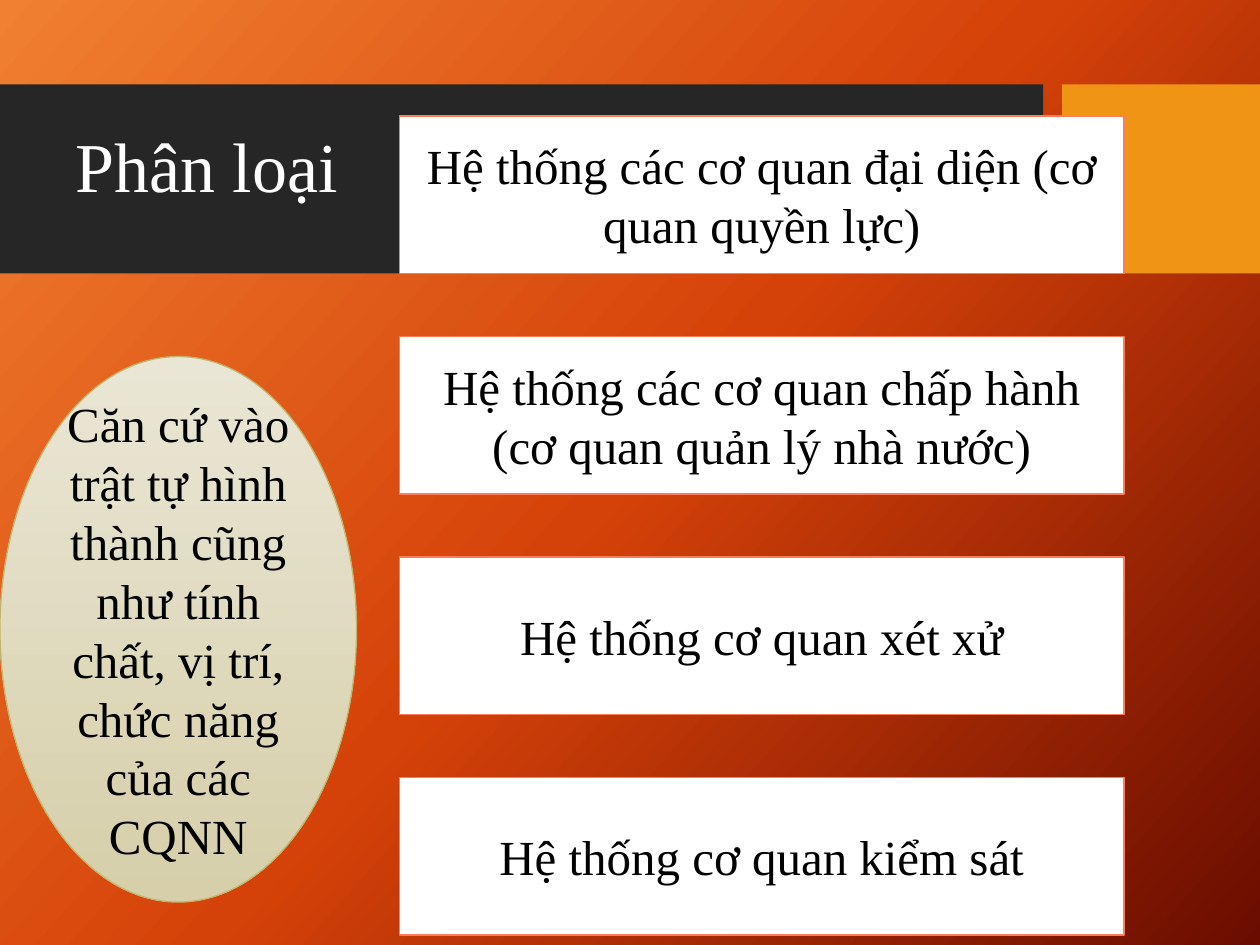
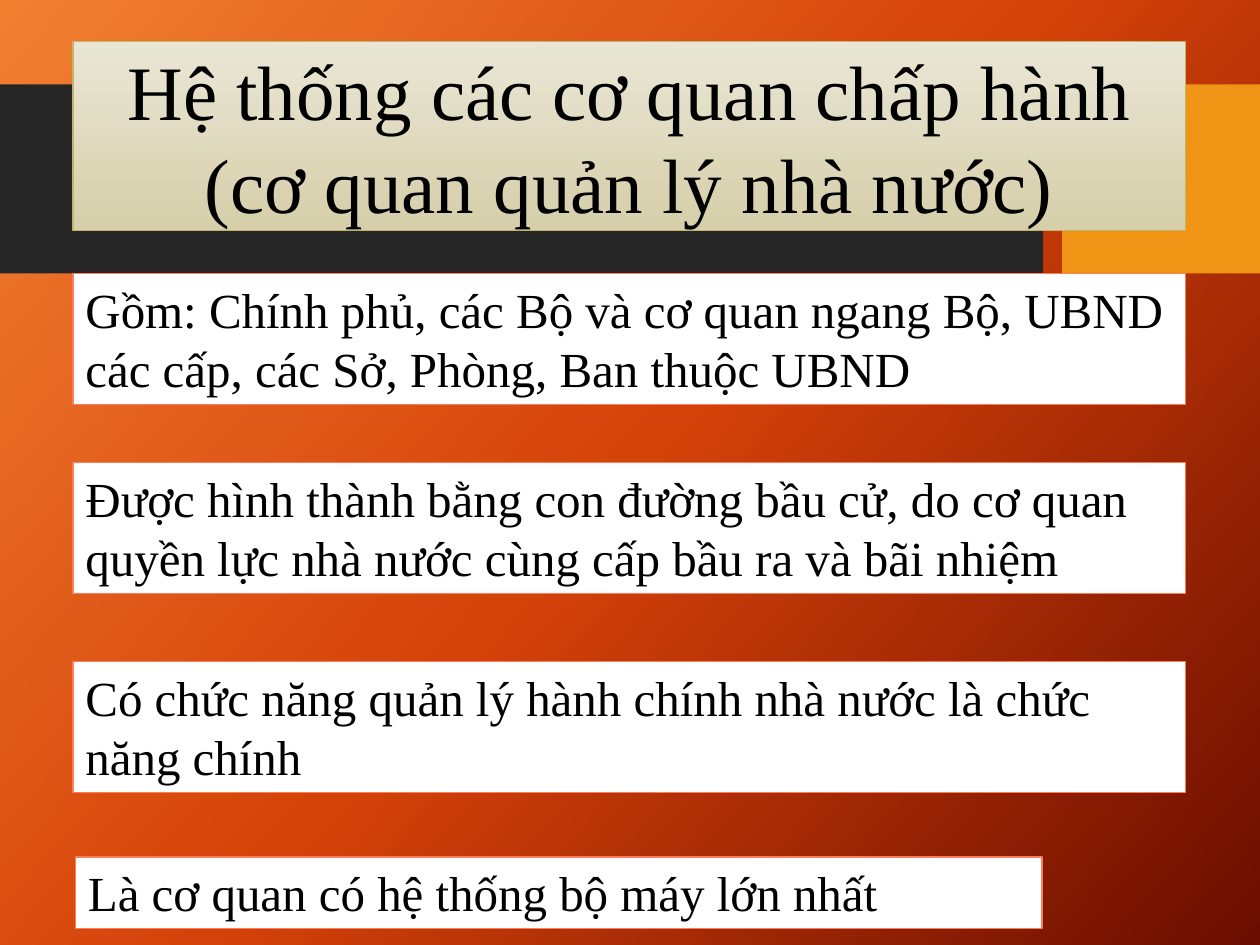
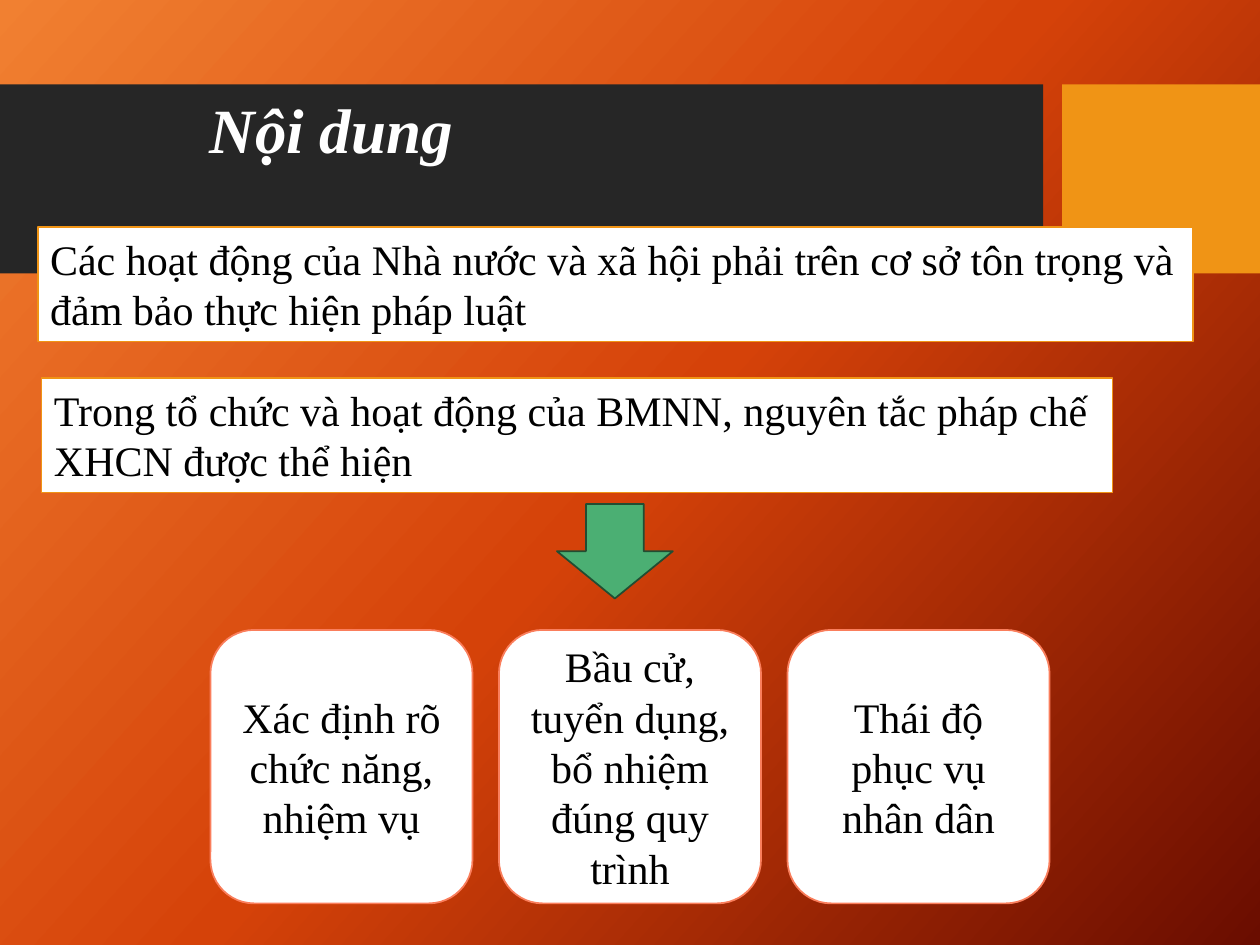
"""Build three slides on the classification of state bodies and the rule of law."""
from copy import deepcopy

from pptx import Presentation
from pptx.dml.color import RGBColor
from pptx.enum.shapes import MSO_SHAPE as Shape
from pptx.enum.text import MSO_ANCHOR as Anchor, PP_ALIGN as Align
from pptx.util import Inches, Pt

COLORS = {
    "glow": "F18031", "flame": "D54209", "ember": "6A0D00",
    "band": "262626", "accent": "F09415", "white": "FFFFFF", "black": "000000",
    "coral": "FA7E5C", "sand": "EAE6D5", "dune": "D6CFAA", "olive": "C1B56B",
    "green": "4BAF73", "forest": "214D32",
}
FONT = "Times New Roman"
EXECUTIVE = "Hệ thống các cơ quan chấp hành (cơ quan quản lý nhà nước)"


def paint(fill, element, names, angle=90):
    if len(names) == 1:
        fill.solid()
        fill.fore_color.rgb = RGBColor.from_string(COLORS[names[0]])
        return
    fill.gradient()
    fill.gradient_angle = 360 - angle
    stop_list = element.xpath(".//a:gsLst")[0]
    for _ in names[2:]:
        stop_list.append(deepcopy(stop_list[-1]))
    for index, (stop, name) in enumerate(zip(fill.gradient_stops, names)):
        stop.position = index / (len(names) - 1)
        stop.color.rgb = RGBColor.from_string(COLORS[name])


def add_box(page, place, text="", size=28, kind=Shape.RECTANGLE, fill=("white",),
            line="coral", width=1, color="black", align=Align.CENTER,
            anchor=Anchor.MIDDLE, slanted=False):
    frame = [Inches(value) for value in place]
    if kind is None:
        box = page.shapes.add_textbox(*frame)
    else:
        box = page.shapes.add_shape(kind, *frame)
        box.shadow.inherit = False
        paint(box.fill, box._element, fill)
        if line:
            box.line.color.rgb = RGBColor.from_string(COLORS[line])
            box.line.width = Pt(width)
        else:
            box.line.fill.background()
    if text:
        box.text_frame.word_wrap = True
        box.text_frame.vertical_anchor = anchor
        para = box.text_frame.paragraphs[0]
        para.alignment = align
        span = para.add_run()
        span.text = text
        span.font.name = FONT
        span.font.size = Pt(size)
        span.font.color.rgb = RGBColor.from_string(COLORS[color])
        if slanted:
            span.font.bold = span.font.italic = True
            para.line_spacing = 0.9


deck = Presentation()
deck.slide_width, deck.slide_height = Inches(10), Inches(7.5)
pages = [deck.slides.add_slide(deck.slide_layouts[6]) for _ in range(3)]
for page in pages:
    paint(page.background.fill, page._element, ("glow", "flame", "ember"), 42)
    add_box(page, (0, 0.67, 8.28, 1.5), fill=("band",), line=None)
    add_box(page, (8.43, 0.67, 1.57, 1.5), fill=("accent",), line=None)
types_page, executive_page, content_page = pages

sandy = {"fill": ("sand", "dune"), "line": "olive", "width": 0.75}
top_left = {"align": Align.LEFT, "anchor": Anchor.TOP}

add_box(types_page, (0.5, 0.92, 5.33, 0.77), "Phân loại", 40, None, color="white", **top_left)
add_box(types_page, (0, 2.83, 2.83, 4.33),
        "Căn cứ vào trật tự hình thành cũng như tính chất, vị trí, chức năng của các CQNN",
        kind=Shape.OVAL, **sandy)
systems = [
    "Hệ thống các cơ quan đại diện (cơ quan quyền lực)",
    EXECUTIVE,
    "Hệ thống cơ quan xét xử",
    "Hệ thống cơ quan kiểm sát",
]
for row, system in enumerate(systems):
    add_box(types_page, (3.17, 0.92 + 1.75 * row, 5.75, 1.25), system)

add_box(executive_page, (0.58, 0.33, 8.83, 1.5), EXECUTIVE, 44, **sandy)
features = [
    ((0.58, 2.17, 8.83, 1.04),
     "Gồm: Chính phủ, các Bộ và cơ quan ngang Bộ, UBND các cấp, các Sở, Phòng, Ban thuộc UBND"),
    ((0.58, 3.67, 8.83, 1.04),
     "Được hình thành bằng con đường bầu cử, do cơ quan quyền lực nhà nước cùng cấp bầu ra "
     "và bãi nhiệm"),
    ((0.58, 5.25, 8.83, 1.04), "Có chức năng quản lý hành chính nhà nước là chức năng chính"),
    ((0.6, 6.8, 7.67, 0.57), "Là cơ quan có hệ thống bộ máy lớn nhất"),
]
for place, feature in features:
    add_box(executive_page, place, feature, **top_left)

add_box(content_page, (0.67, 0.58, 3.92, 0.95), "Nội dung", 36, None, color="white", slanted=True)
principles = [
    ((0.33, 3, 8.5, 0.91),
     "Trong tổ chức và hoạt động của BMNN, nguyên tắc pháp chế XHCN được thể hiện"),
    ((0.3, 1.8, 9.17, 0.91),
     "Các hoạt động của Nhà nước và xã hội phải trên cơ sở tôn trọng và đảm bảo thực hiện "
     "pháp luật"),
]
for place, principle in principles:
    add_box(content_page, place, principle, 24, line="accent", **top_left)
add_box(content_page, (4.42, 4, 0.92, 0.75), kind=Shape.DOWN_ARROW, fill=("green",), line="forest")
requirements = [
    "Xác định rõ chức năng, nhiệm vụ",
    "Bầu cử, tuyển dụng, bổ nhiệm đúng quy trình",
    "Thái độ phục vụ nhân dân",
]
for column, requirement in enumerate(requirements):
    add_box(content_page, (1.67 + 2.29 * column, 5, 2.08, 2.17), requirement, 24,
            Shape.ROUNDED_RECTANGLE)

deck.save("out.pptx")
